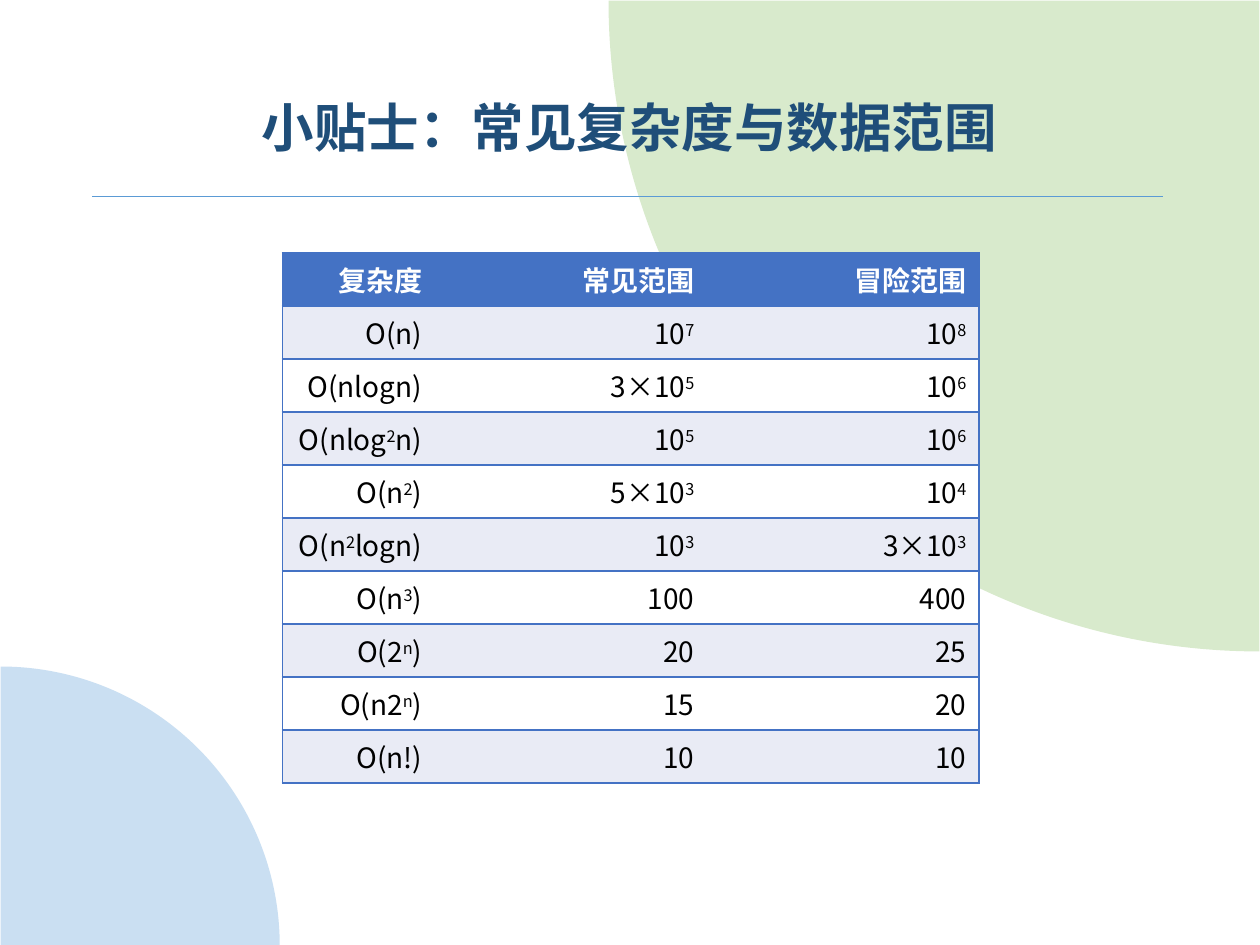
"""Build a slide with a table of common complexities and their data ranges."""
from lxml.etree import SubElement
from pptx import Presentation
from pptx.dml.color import RGBColor
from pptx.enum.shapes import MSO_CONNECTOR, MSO_SHAPE
from pptx.enum.text import MSO_ANCHOR, PP_ALIGN
from pptx.oxml.ns import qn
from pptx.util import Inches, Pt

FONT = "Noto Sans CJK SC"
BLUE = "4472C4"


def color(value):
    return RGBColor.from_string(value)


def style_paragraph(paragraph, size, text_color, bold, align):
    paragraph.alignment = align
    font = paragraph.font
    font.size = Pt(size)
    font.bold = bold
    font.color.rgb = color(text_color)
    font.name = FONT
    defaults = paragraph._p.pPr.find(qn("a:defRPr"))
    SubElement(defaults, qn("a:ea"), typeface=FONT)


deck = Presentation()
deck.slide_width, deck.slide_height = Inches(10), Inches(7.5)
page = deck.slides.add_slide(deck.slide_layouts[5])

for left, top, size, rotation, fill in [
    (4.83, -5.16, 10.33, 270, "D8EACC"),
    (-2.21, 5.29, 4.43, 90, "CADFF2"),
]:
    quarter = page.shapes.add_shape(
        MSO_SHAPE.PIE, Inches(left), Inches(top), Inches(size), Inches(size))
    quarter.adjustments[0] = 108
    quarter.adjustments[1] = 162
    quarter.rotation = rotation
    quarter.shadow.inherit = False
    quarter.fill.solid()
    quarter.fill.fore_color.rgb = color(fill)
    quarter.line.fill.background()

rule = page.shapes.add_connector(
    MSO_CONNECTOR.STRAIGHT, Inches(9.23), Inches(1.56), Inches(0.73), Inches(1.56))
rule.line.color.rgb = color("5B9BD5")
rule.line.width = Pt(1)
SubElement(rule.element.spPr, qn("a:effectLst"))

title = page.shapes.title
page.shapes.element.append(title.element)
title.left, title.top = Inches(0.68), Inches(0.51)
title.width, title.height = Inches(8.63), Inches(0.8)
title.text_frame.text = "小贴士：常见复杂度与数据范围"
title.text_frame.vertical_anchor = MSO_ANCHOR.BOTTOM
heading = title.text_frame.paragraphs[0]
heading.line_spacing = 0.9
style_paragraph(heading, 30, "1F4E79", True, PP_ALIGN.CENTER)

# Text between carets is superscript.
rows = [
    ("复杂度", "常见范围", "冒险范围"),
    ("O(n)", "10^7", "10^8"),
    ("O(nlogn)", "3×10^5", "10^6"),
    ("O(nlog^2^n)", "10^5", "10^6"),
    ("O(n^2^)", "5×10^3", "10^4"),
    ("O(n^2^logn)", "10^3", "3×10^3"),
    ("O(n^3^)", "100", "400"),
    ("O(2^n^)", "20", "25"),
    ("O(n2^n^)", "15", "20"),
    ("O(n!)", "10", "10"),
]
widths = [1.21, 2.16, 2.16]
table = page.shapes.add_table(
    len(rows), len(widths), Inches(2.24), Inches(2.01),
    Inches(sum(widths)), Inches(0.41 * len(rows))).table
for column, width in zip(table.columns, widths):
    column.width = Inches(width)

for row_index, row in enumerate(rows):
    header = row_index == 0
    fill = BLUE if header else "E9EBF5" if row_index % 2 else "FFFFFF"
    for column_index, text in enumerate(row):
        cell = table.cell(row_index, column_index)
        cell.vertical_anchor = MSO_ANCHOR.MIDDLE
        paragraph = cell.text_frame.paragraphs[0]
        for part_index, part in enumerate(text.split("^")):
            span = paragraph.add_run()
            span.text = part
            if part_index % 2:
                span._r.get_or_add_rPr().set("baseline", "30000")
        style_paragraph(paragraph, 16, "FFFFFF" if header else "000000", header, PP_ALIGN.RIGHT)

        visible = {
            "L": column_index == 0,
            "R": column_index == len(widths) - 1,
            "T": True,
            "B": True,
        }
        properties = cell._tc.get_or_add_tcPr()
        for side, shown in visible.items():
            border = SubElement(properties, qn(f"a:ln{side}"), w=str(Pt(1)))
            if shown:
                paint = SubElement(border, qn("a:solidFill"))
                SubElement(paint, qn("a:srgbClr"), val=BLUE)
            else:
                SubElement(border, qn("a:noFill"))
        cell.fill.solid()
        cell.fill.fore_color.rgb = color(fill)

deck.save("out.pptx")
